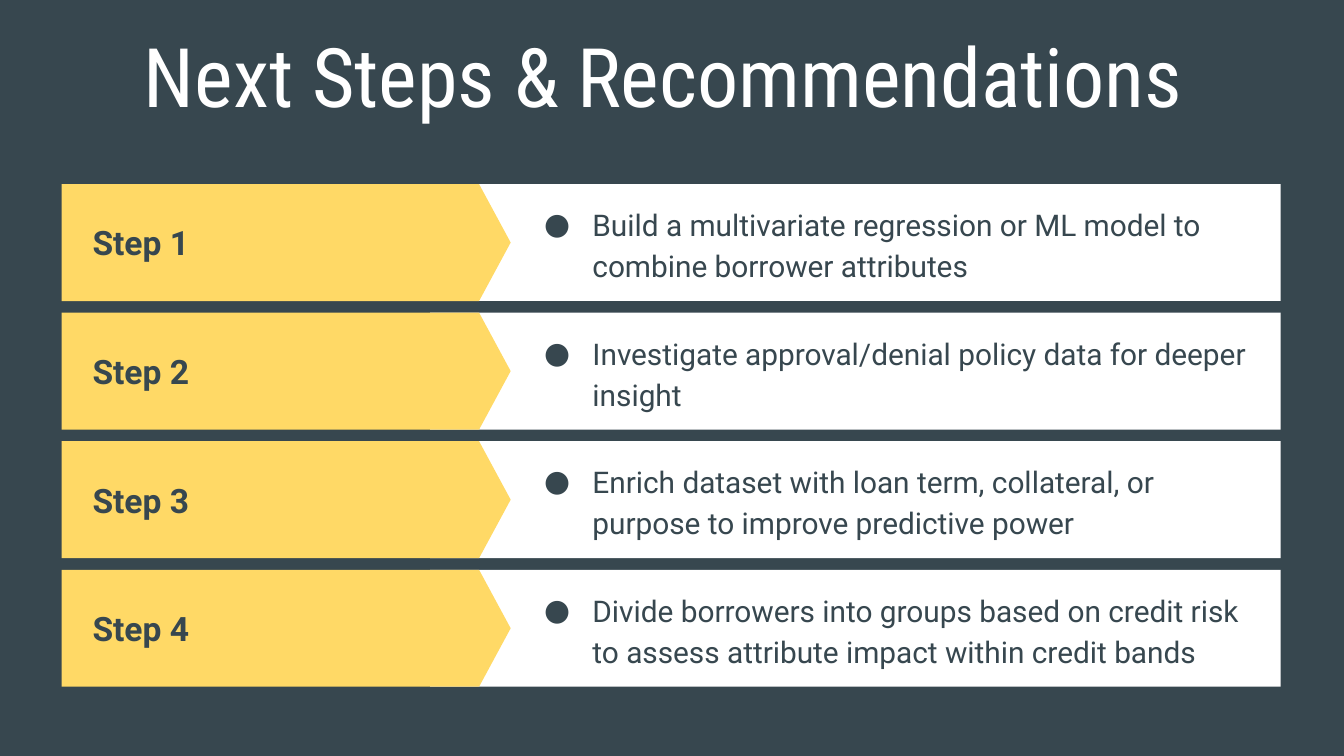
from dataclasses import dataclass

from lxml import etree
from pptx import Presentation
from pptx.dml.color import RGBColor
from pptx.enum.shapes import MSO_SHAPE
from pptx.enum.text import MSO_ANCHOR, MSO_AUTO_SIZE, PP_ALIGN
from pptx.oxml.ns import qn
from pptx.util import Inches, Pt

RECTANGLE, PENTAGON = MSO_SHAPE.RECTANGLE, MSO_SHAPE.PENTAGON
TOP, MIDDLE = MSO_ANCHOR.TOP, MSO_ANCHOR.MIDDLE
CENTER, LEFT = PP_ALIGN.CENTER, PP_ALIGN.LEFT
NO_AUTOFIT = MSO_AUTO_SIZE.NONE


@dataclass(frozen=True)
class Theme:
    slate: RGBColor = RGBColor.from_string("37474F")
    white: RGBColor = RGBColor.from_string("FFFFFF")
    yellow: RGBColor = RGBColor.from_string("FFD966")
    title_font: str = "Roboto Condensed"
    body_font: str = "Roboto"
    title_size: Pt = Pt(44)
    step_size: Pt = Pt(18)
    action_size: Pt = Pt(16)


theme = Theme()


def add_panel(group, kind, left, top, width, height, color):
    panel = group.shapes.add_shape(kind, Inches(left), Inches(top), Inches(width), Inches(height))
    panel.shadow.inherit = False
    panel.fill.solid()
    panel.fill.fore_color.rgb = color
    panel.line.fill.background()
    return panel


def write_text(box, text, anchor, align, font_name, size, color):
    frame = box.text_frame
    frame.word_wrap = True
    frame.auto_size = NO_AUTOFIT
    frame.vertical_anchor = anchor
    frame.margin_left = frame.margin_right = Inches(0.1)
    frame.margin_top = frame.margin_bottom = Inches(0.1)
    para = frame.paragraphs[0]
    para.text = text
    para.alignment = align
    para.font.name = font_name
    para.font.size = size
    para.font.color.rgb = color
    return para


deck = Presentation()
deck.slide_width = Inches(10)
deck.slide_height = deck.slide_width * 9 // 16
page = deck.slides.add_slide(deck.slide_layouts[5])
page.background.fill.solid()
page.background.fill.fore_color.rgb = theme.slate

title = page.shapes.title
title.left, title.top = Inches(0.28), Inches(0.09)
title.width, title.height = Inches(9.32), Inches(0.63)
write_text(title, "Next Steps & Recommendations", TOP, CENTER,
           theme.title_font, theme.title_size, theme.white)

actions = [
    "Build a multivariate regression or ML model to combine borrower attributes",
    "Investigate approval/denial policy data for deeper insight",
    "Enrich dataset with loan term, collateral, or purpose to improve predictive power",
    "Divide borrowers into groups based on credit risk to assess attribute impact within credit bands",
]
first_top, last_top, row_height = 1.37, 4.24, 0.87
row_pitch = (last_top - first_top) / (len(actions) - 1)

for index, action in enumerate(actions):
    top = first_top + index * row_pitch
    row = page.shapes.add_group_shape()
    add_panel(row, RECTANGLE, 3.2, top, 6.33, row_height, theme.white)
    arrow = add_panel(row, PENTAGON, 0.46, top, 3.34, row_height, theme.yellow)
    arrow.adjustments[0] = 0.27

    step_box = page.shapes.add_textbox(Inches(0.59), Inches(top), Inches(2.65), Inches(row_height))
    step = write_text(step_box, f"Step {index + 1}", MIDDLE, LEFT,
                      theme.body_font, theme.step_size, theme.slate)
    step.font.bold = True

    action_box = page.shapes.add_textbox(Inches(3.81), Inches(top), Inches(5.59), Inches(row_height))
    para = write_text(action_box, action, MIDDLE, LEFT,
                      theme.body_font, theme.action_size, theme.slate)
    para.line_spacing = 1.15
    properties = para._p.get_or_add_pPr()
    properties.set("marL", str(Inches(0.5)))
    properties.set("indent", str(Inches(-0.36)))
    bullet_font = etree.Element(qn("a:buFont"), typeface=theme.body_font)
    bullet = etree.Element(qn("a:buChar"), char="●")
    properties.find(qn("a:lnSpc")).addnext(bullet_font)
    bullet_font.addnext(bullet)

deck.save("out.pptx")
